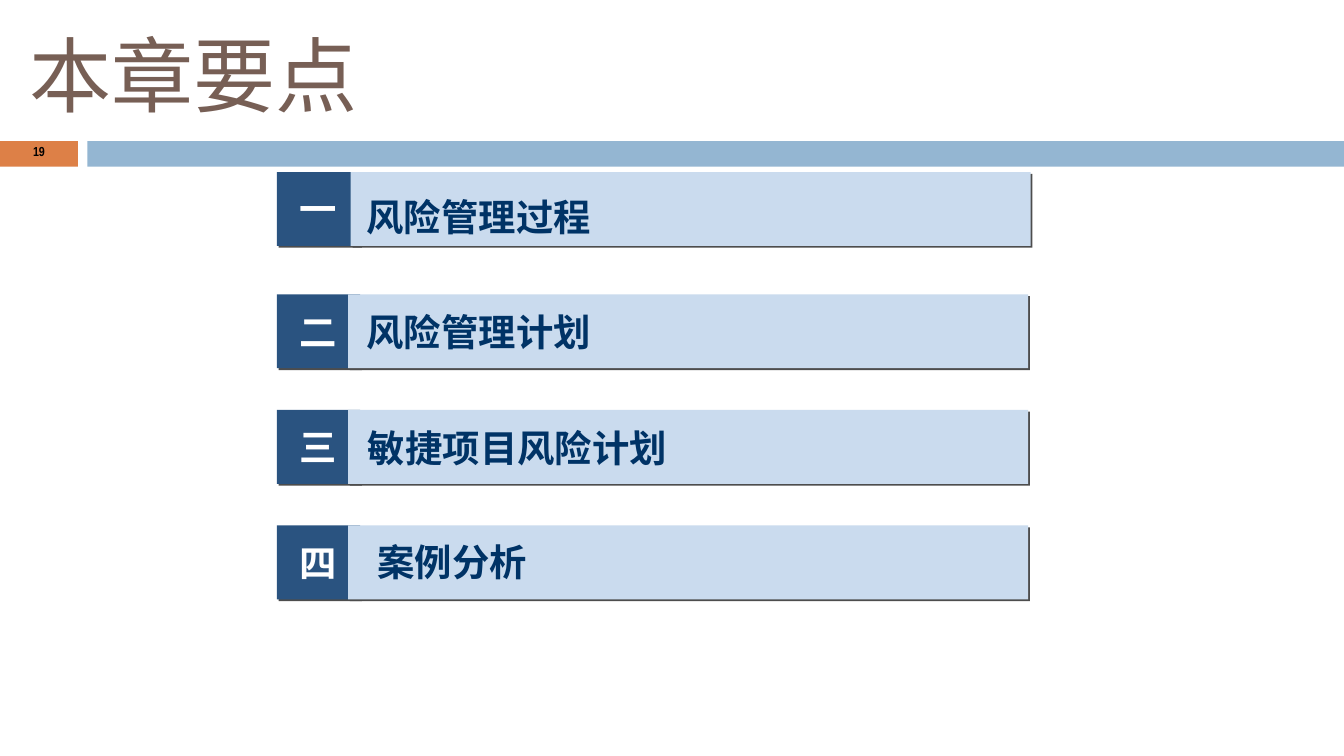
from lxml.etree import SubElement
from pptx import Presentation
from pptx.dml.color import RGBColor
from pptx.enum.shapes import MSO_SHAPE as Shape
from pptx.enum.text import MSO_ANCHOR as Anchor, PP_ALIGN as Align
from pptx.oxml.ns import qn
from pptx.util import Inches, Pt

ORANGE = RGBColor(0xDD, 0x80, 0x47)
BAND_BLUE = RGBColor(0x94, 0xB6, 0xD2)
BROWN = RGBColor(0x77, 0x5F, 0x55)
DARK_BLUE = RGBColor(0x2A, 0x53, 0x80)
PALE_BLUE = RGBColor(0xCA, 0xDB, 0xEE)
NAVY = RGBColor(0x00, 0x33, 0x66)
WHITE = RGBColor(0xFF, 0xFF, 0xFF)
BLACK = RGBColor(0, 0, 0)
SHADOW = RGBColor(0x4D, 0x4D, 0x4D)
CJK_FONT = "Noto Sans CJK SC"

TITLE = "本章要点"
PAGE_NUMBER = "19"
# number, topic, bar left, label left, label width, label offset from row top
TOPICS = [
    ("一", "风险管理过程", 2.61, 2.61, 4.8, 0.13),
    ("二", "风险管理计划", 2.59, 2.61, 4.8, 0.08),
    ("三", "敏捷项目风险计划", 2.59, 2.62, 4.73, 0.08),
    ("四", "案例分析", 2.59, 2.69, 4.41, 0.07),
]
FIRST_TOP, SECOND_TOP, ROW_PITCH = 1.28, 2.19, 0.86
ROW_HEIGHT, LABEL_HEIGHT = 0.55, 0.4


def add_box(slide, kind, left, top, width, height, fill=None, shadow=False):
    shape = slide.shapes.add_shape(
        kind, Inches(left), Inches(top), Inches(width), Inches(height))
    shape.shadow.inherit = False
    shape.line.fill.background()
    if fill is None:
        shape.fill.background()
    else:
        shape.fill.solid()
        shape.fill.fore_color.rgb = fill
    if shadow:
        effects = shape._element.spPr.find(qn("a:effectLst"))
        outer = SubElement(effects, qn("a:outerShdw"), dist=str(Pt(1.4)),
                           dir="2700000", algn="ctr", rotWithShape="0")
        SubElement(outer, qn("a:srgbClr"), val=str(SHADOW))
    return shape


def set_text(shape, text, size, color, font=CJK_FONT, bold=True,
             align=Align.LEFT, anchor=Anchor.MIDDLE):
    frame = shape.text_frame
    frame.text = text
    frame.word_wrap = True
    frame.vertical_anchor = anchor
    paragraph = frame.paragraphs[0]
    paragraph.alignment = align
    run = paragraph.runs[0]
    run.font.size = Pt(size)
    run.font.bold = bold
    run.font.color.rgb = color
    run.font.name = font
    SubElement(run._r.get_or_add_rPr(), qn("a:ea"), typeface=font)
    return paragraph


presentation = Presentation()
presentation.slide_width = Inches(10)
presentation.slide_height = Inches(10) * 9 // 16
slide = presentation.slides.add_slide(presentation.slide_layouts[6])

add_box(slide, Shape.RECTANGLE, 0, 1.05, 0.58, 0.19, ORANGE)
add_box(slide, Shape.RECTANGLE, 0.65, 1.05, 9.35, 0.19, BAND_BLUE)

title = slide.shapes.add_textbox(
    Inches(0.12), Inches(0.14), Inches(8.5), Inches(0.94))
title.text_frame.margin_top = Inches(0.04)
title.text_frame.margin_bottom = 0
set_text(title, TITLE, 44, BROWN, bold=False, anchor=Anchor.TOP)

page_number = slide.shapes.add_textbox(0, Inches(1.04), Inches(0.58), Inches(0.2))
set_text(page_number, PAGE_NUMBER, 7, BLACK, font="Arial Narrow",
         align=Align.CENTER).line_spacing = 0.8

row_tops = [FIRST_TOP] + [SECOND_TOP + ROW_PITCH * i for i in range(len(TOPICS) - 1)]
for top, (number, _, bar_left, *_) in zip(row_tops, TOPICS):
    badge = add_box(slide, Shape.RECTANGLE, 2.06, top, 0.62, ROW_HEIGHT,
                    DARK_BLUE, shadow=True)
    set_text(badge, number, 20, WHITE, align=Align.CENTER)
    add_box(slide, Shape.RECTANGLE, bar_left, top, 5.06, ROW_HEIGHT,
            PALE_BLUE, shadow=True)

for top, (_, topic, _, left, width, offset) in zip(row_tops, TOPICS):
    label = add_box(slide, Shape.ROUNDED_RECTANGLE, left, top + offset,
                    width, LABEL_HEIGHT)
    set_text(label, topic, 20, NAVY)

presentation.save("out.pptx")
